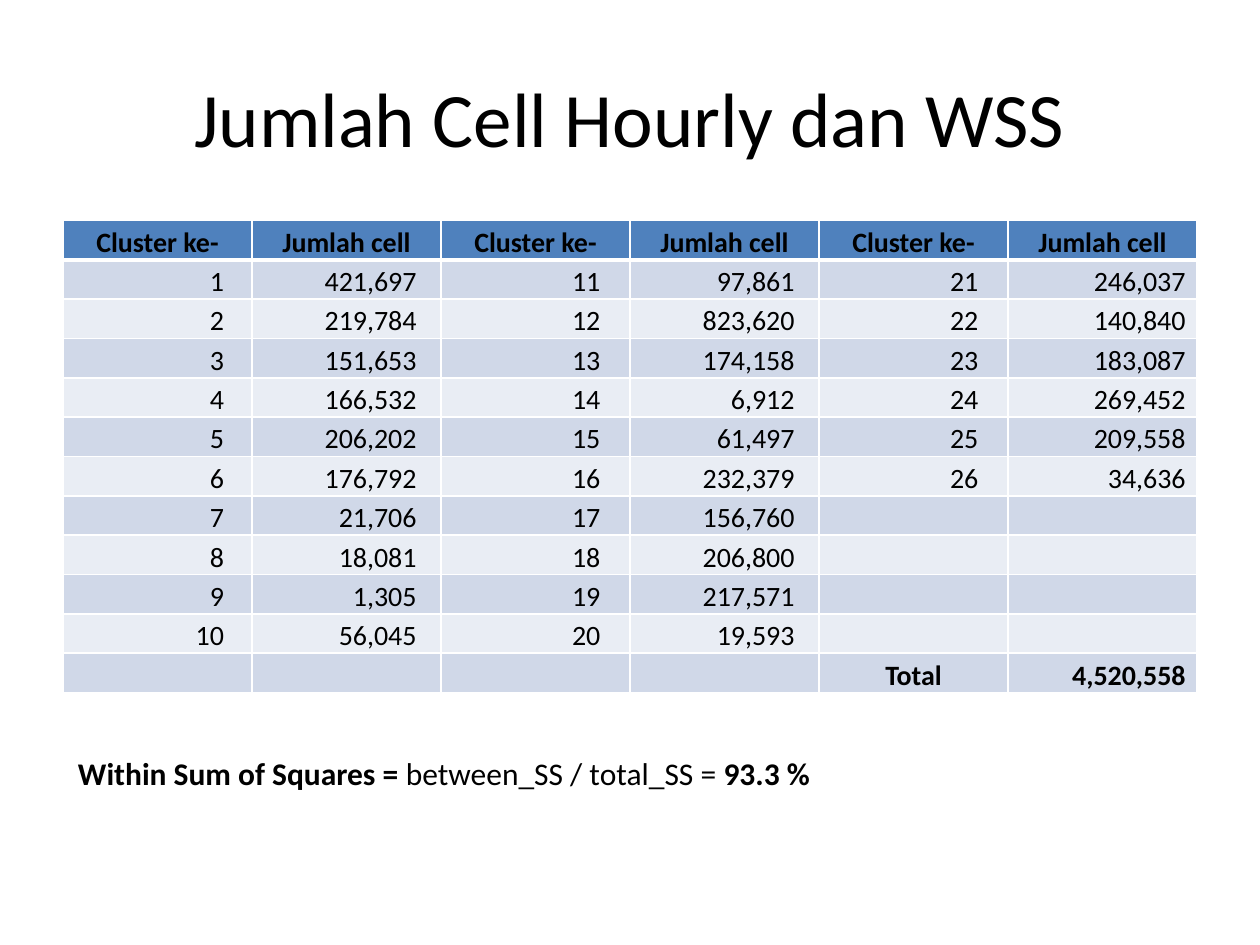
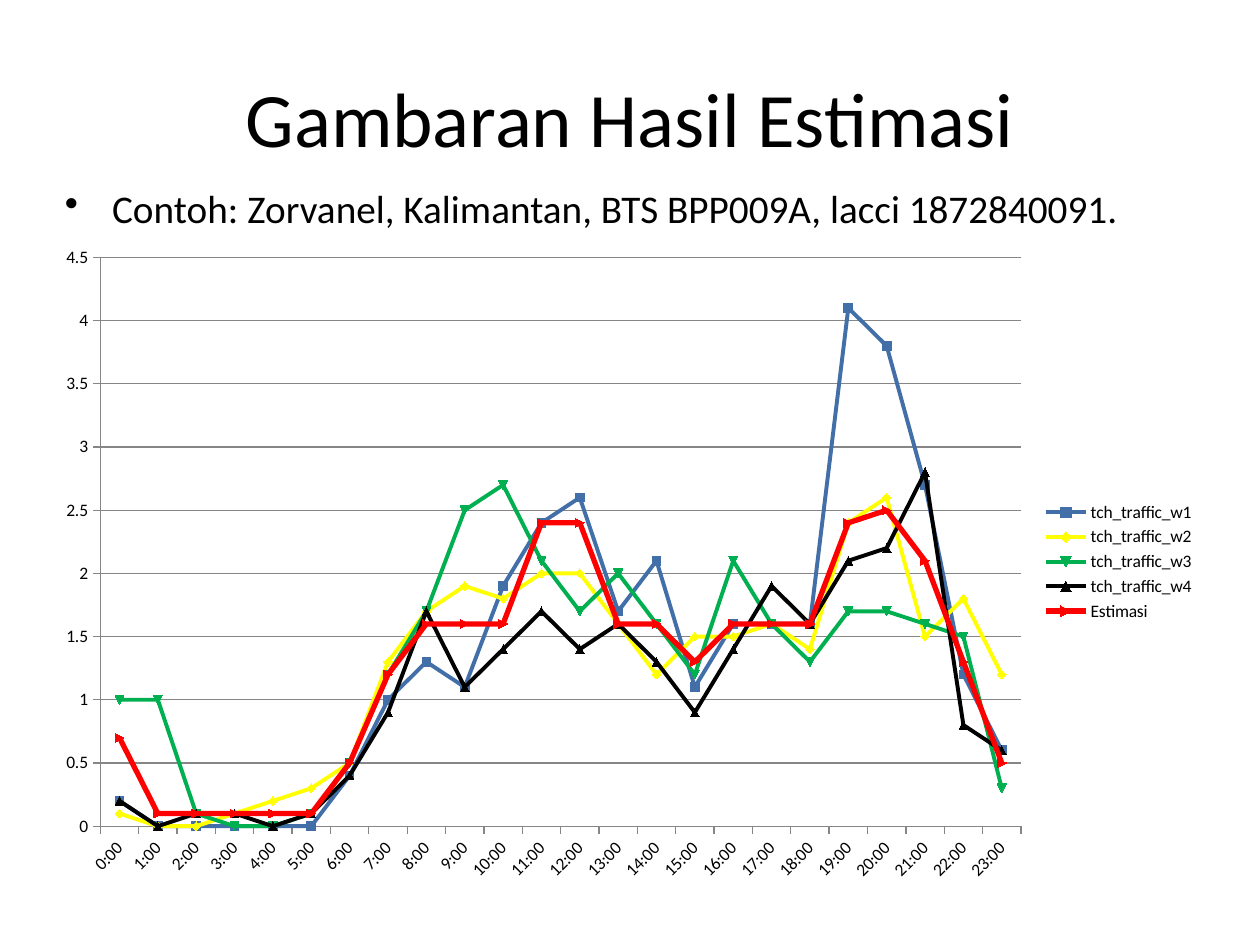
from lxml import etree
from pptx import Presentation
from pptx.chart.data import CategoryChartData
from pptx.dml.color import RGBColor
from pptx.enum.chart import XL_CHART_TYPE, XL_LEGEND_POSITION, XL_TICK_MARK
from pptx.enum.text import MSO_ANCHOR, PP_ALIGN
from pptx.oxml import parse_xml
from pptx.oxml.ns import nsdecls, qn
from pptx.util import Pt

LEFT, CENTER, RIGHT = PP_ALIGN.LEFT, PP_ALIGN.CENTER, PP_ALIGN.RIGHT
TOP, MIDDLE, BOTTOM = MSO_ANCHOR.TOP, MSO_ANCHOR.MIDDLE, MSO_ANCHOR.BOTTOM
LINE_MARKERS = XL_CHART_TYPE.LINE_MARKERS
LEGEND_RIGHT = XL_LEGEND_POSITION.RIGHT
TICK_OUTSIDE = XL_TICK_MARK.OUTSIDE

FONT = "Calibri"
COLORS = {
    "text": "000000",
    "header": "4F81BD",
    "odd_row": "D0D8E8",
    "even_row": "E9EDF4",
    "border": "FFFFFF",
    "axis": "868686",
    "week_1": "426FA8",
    "week_2": "FFFF00",
    "week_3": "00B050",
    "week_4": "000000",
    "estimate": "FF0000",
}

# Slide 1: cell counts, cluster 1 first
CELL_COUNTS = [
    421697, 219784, 151653, 166532, 206202, 176792, 21706, 18081, 1305, 56045,
    97861, 823620, 174158, 6912, 61497, 232379, 156760, 206800, 217571, 19593,
    246037, 140840, 183087, 269452, 209558, 34636,
]
TOTAL = "4,520,558"
CLUSTERS_PER_BLOCK = 10
BLOCKS = 3
RIGHT_MARGINS = [16, 14, 17, 14, 17, 6.5]

# Slide 2: name, colour, line width and hourly values
TRAFFIC = [
    ("tch_traffic_w1", "week_1", 2.25,
     [0.2, 0, 0, 0, 0, 0, 0.4, 1, 1.3, 1.1, 1.9, 2.4,
      2.6, 1.7, 2.1, 1.1, 1.6, 1.6, 1.6, 4.1, 3.8, 2.7, 1.2, 0.6]),
    ("tch_traffic_w2", "week_2", 2.25,
     [0.1, 0, 0, 0.1, 0.2, 0.3, 0.5, 1.3, 1.7, 1.9, 1.8, 2,
      2, 1.6, 1.2, 1.5, 1.5, 1.6, 1.4, 2.4, 2.6, 1.5, 1.8, 1.2]),
    ("tch_traffic_w3", "week_3", 2.25,
     [1, 1, 0.1, 0, 0, 0.1, 0.5, 1.2, 1.7, 2.5, 2.7, 2.1,
      1.7, 2, 1.6, 1.2, 2.1, 1.6, 1.3, 1.7, 1.7, 1.6, 1.5, 0.3]),
    ("tch_traffic_w4", "week_4", 2.25,
     [0.2, 0, 0.1, 0.1, 0, 0.1, 0.4, 0.9, 1.7, 1.1, 1.4, 1.7,
      1.4, 1.6, 1.3, 0.9, 1.4, 1.9, 1.6, 2.1, 2.2, 2.8, 0.8, 0.6]),
    ("Estimasi", "estimate", 3,
     [0.7, 0.1, 0.1, 0.1, 0.1, 0.1, 0.5, 1.2, 1.6, 1.6, 1.6, 2.4,
      2.4, 1.6, 1.6, 1.3, 1.6, 1.6, 1.6, 2.4, 2.5, 2.1, 1.3, 0.5]),
]


def color(name):
    return RGBColor.from_string(COLORS[name])


def style_font(font, size, bold=None):
    font.name = FONT
    font.size = Pt(size)
    font.bold = bold
    font.color.rgb = color("text")


def add_text(slide, box, runs, size, align=LEFT, anchor=TOP, wrap=True):
    """Place one paragraph of (text, bold) runs and return it."""
    frame = slide.shapes.add_textbox(*map(Pt, box)).text_frame
    frame.word_wrap = wrap
    frame.vertical_anchor = anchor
    paragraph = frame.paragraphs[0]
    paragraph.alignment = align
    style_font(paragraph.font, size)
    for text, bold in runs:
        run = paragraph.add_run()
        run.text = text
        if bold:
            run.font.bold = True
    return paragraph


def add_title(slide, title):
    add_text(slide, (36, 21.6, 648, 90), [(title, False)], 44, CENTER, MIDDLE)


def add_bullet(slide, box, text):
    paragraph = add_text(slide, box, [(text, False)], 22.4)
    properties = paragraph._p.get_or_add_pPr()
    properties.set("marL", str(Pt(27)))
    properties.set("indent", str(Pt(-27)))
    properties.insert(0, parse_xml(f'<a:buChar {nsdecls("a")} char="•"/>'))


def set_borders(cell, bottom_width):
    properties = cell._tc.get_or_add_tcPr()
    widths = {"lnL": 1, "lnR": 1, "lnT": 1, "lnB": bottom_width}
    for position, (side, width) in enumerate(widths.items()):
        properties.insert(position, parse_xml(
            f'<a:{side} {nsdecls("a")} w="{Pt(width)}"><a:solidFill>'
            f'<a:srgbClr val="{COLORS["border"]}"/></a:solidFill></a:{side}>'))


def cluster_rows():
    """Header, numbered clusters in side-by-side blocks, then the total."""
    rows = [["Cluster ke-", "Jumlah cell"] * BLOCKS]
    for offset in range(CLUSTERS_PER_BLOCK):
        row = []
        for block in range(BLOCKS):
            index = block * CLUSTERS_PER_BLOCK + offset
            known = index < len(CELL_COUNTS)
            row += [str(index + 1), f"{CELL_COUNTS[index]:,}"] if known else ["", ""]
        rows.append(row)
    return rows + [[""] * (2 * BLOCKS - 2) + ["Total", TOTAL]]


def add_cluster_table(slide, box):
    rows = cluster_rows()
    last = len(rows) - 1
    table = slide.shapes.add_table(len(rows), len(rows[0]), *map(Pt, box)).table
    for column in table.columns:
        column.width = Pt(box[2] / len(rows[0]))
    for r, row in enumerate(rows):
        table.rows[r].height = Pt(box[3] / len(rows))
        band = "header" if r == 0 else "odd_row" if r % 2 else "even_row"
        for c, text in enumerate(row):
            cell = table.cell(r, c)
            centered = r == 0 or text == "Total"
            cell.margin_left = cell.margin_top = Pt(0.7)
            cell.margin_right = Pt(0.7 if centered else RIGHT_MARGINS[c])
            cell.margin_bottom = 0
            cell.vertical_anchor = BOTTOM
            cell.fill.solid()
            cell.fill.fore_color.rgb = color(band)
            set_borders(cell, 3 if r == 0 else 1)
            paragraph = cell.text_frame.paragraphs[0]
            paragraph.text = text
            paragraph.alignment = CENTER if centered else RIGHT
            style_font(paragraph.font, 16, r in (0, last))


def set_plot_layout(chart, **fractions):
    """Fix the inner plot area as fractions of the chart."""
    plot_area = chart._chartSpace.chart.plotArea
    for old in plot_area.findall(qn("c:layout")):
        plot_area.remove(old)
    layout = etree.Element(qn("c:layout"))
    manual = etree.SubElement(layout, qn("c:manualLayout"))
    settings = {"layoutTarget": "inner", "xMode": "edge", "yMode": "edge", **fractions}
    for tag, value in settings.items():
        etree.SubElement(manual, qn(f"c:{tag}")).set("val", str(value))
    plot_area.insert(0, layout)


def add_traffic_chart(slide, box):
    data = CategoryChartData()
    data.categories = [f"{hour}:00" for hour in range(24)]
    for name, _, _, values in TRAFFIC:
        data.add_series(name, values)
    chart = slide.shapes.add_chart(LINE_MARKERS, *map(Pt, box), data).chart
    style_font(chart.font, 10)
    chart.has_title = False
    chart.has_legend = True
    chart.legend.position = LEGEND_RIGHT
    chart.legend.include_in_layout = False
    chart.plots[0].vary_by_categories = False
    set_plot_layout(chart, x=0.05, y=0.04, w=0.79, h=0.86)

    # Axes
    hours, traffic = chart.category_axis, chart.value_axis
    for axis in (hours, traffic):
        axis.major_tick_mark = TICK_OUTSIDE
        axis.format.line.color.rgb = color("axis")
        style_font(axis.tick_labels.font, 10)
    hours._element.find(qn("c:txPr")).find(qn("a:bodyPr")).set("rot", "-2700000")
    traffic.minimum_scale, traffic.maximum_scale, traffic.major_unit = 0, 4.5, 0.5
    traffic.tick_labels.number_format = "General"
    traffic.tick_labels.number_format_is_linked = False
    traffic.has_major_gridlines = True
    traffic.major_gridlines.format.line.color.rgb = color("axis")

    # Series
    for series, (_, hue, width, _) in zip(chart.plots[0].series, TRAFFIC):
        series.smooth = False
        series.format.line.color.rgb = color(hue)
        series.format.line.width = Pt(width)
        series.marker.size = 5
        series.marker.format.fill.solid()
        series.marker.format.fill.fore_color.rgb = color(hue)
        series.marker.format.line.color.rgb = color(hue)


def build_cluster_slide(slide):
    add_title(slide, "Jumlah Cell Hourly dan WSS")
    add_cluster_table(slide, (36, 126, 648, 270))
    add_text(slide, (37.5, 427.5, 441, 29),
             [("Within Sum of Squares = ", True),
              ("between_SS / total_SS = ", False),
              ("93.3 %", True)], 18, wrap=False)


def build_estimate_slide(slide):
    add_title(slide, "Gambaran Hasil Estimasi")
    add_bullet(slide, (30, 102, 648, 30),
               "Contoh: Zorvanel, Kalimantan, BTS BPP009A, lacci 1872840091.")
    add_traffic_chart(slide, (24, 132, 666, 378))


def main():
    deck = Presentation()
    deck.slide_width, deck.slide_height = Pt(720), Pt(540)
    blank = deck.slide_layouts[6]
    for build in (build_cluster_slide, build_estimate_slide):
        build(deck.slides.add_slide(blank))
    deck.save("out.pptx")


if __name__ == "__main__":
    main()
